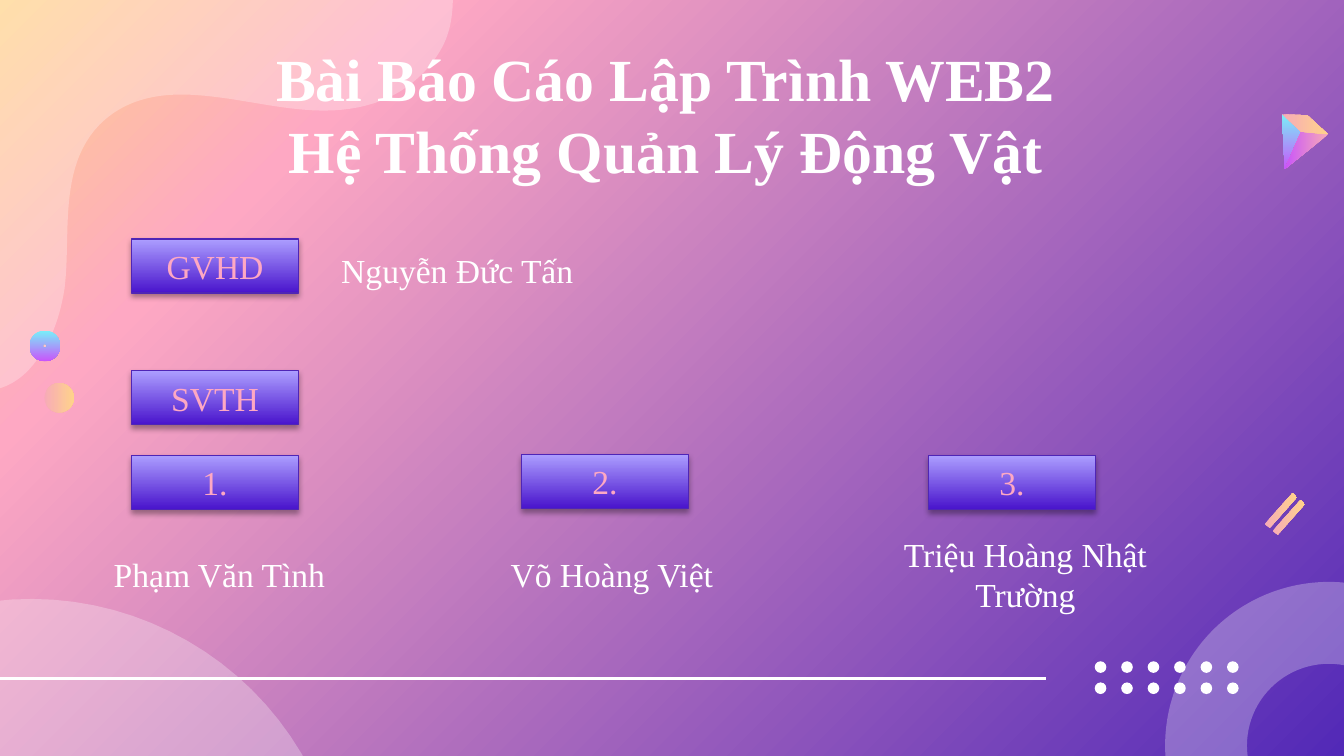
"""Build the title slide of a Vietnamese web programming report."""
from itertools import product

from lxml.etree import SubElement
from pptx import Presentation
from pptx.dml.color import RGBColor
from pptx.enum.shapes import MSO_CONNECTOR, MSO_SHAPE
from pptx.enum.text import MSO_ANCHOR, MSO_AUTO_SIZE, PP_ALIGN
from pptx.oxml.ns import qn
from pptx.util import Cm, Pt

WHITE, PINK = "FFFFFF", "FEA8C3"
PEACH = [(0, "F7ABB7"), (100, "FFD38B")]
NEON = [(0, "78F0F9"), (100, "C954FA")]
ORCHID = [(0, "F7ABB7"), (100, "C954FA")]
INDIGO = [(0, "4914CC"), (100, "AC9EFF")]
SUNSET = [(0, "5229B7"), (79, PINK), (100, "FFD38B")]

BLOB = [(0, 7.34), (0.25, 7.26, 0.46, 7.11, 0.64, 6.88),
        (0.97, 6.48, 1.14, 5.97, 1.22, 5.46),
        (1.35, 4.45, 1.09, 3.18, 1.88, 2.36),
        (2.39, 1.85, 3.05, 1.75, 3.73, 1.8),
        (4.9, 1.88, 6.05, 2.34, 7.19, 1.91),
        (7.67, 1.73, 8.1, 1.37, 8.36, 0.89),
        (8.51, 0.61, 8.56, 0.28, 8.56, -0.05), (0, -0.05)]
HILL = [(0.46, 17.5), (6.38, 15.93), (6.32, 15.72),
        (5.46, 12.55, 2.21, 10.67, -0.97, 11.53),
        (-1.02, 11.53, -1.07, 11.56, -1.14, 11.56)]
STRIPE = [(23.9, 9.91), (24.43, 9.32), (24.51, 9.4), (24, 9.98)]


def rgb(color):
    return RGBColor.from_string(color)


def curve(start, ctrl, steps=24):
    """Return points along a cubic Bezier curve."""
    x1, y1, x2, y2, x3, y3 = ctrl
    points = []
    for i in range(1, steps + 1):
        t = i / steps
        u = 1 - t
        weights = (u ** 3, 3 * u * u * t, 3 * u * t * t, t ** 3)
        points.append(tuple(sum(w * v for w, v in zip(weights, values))
                            for values in ((start[0], x1, x2, x3),
                                           (start[1], y1, y2, y3))))
    return points


class Deck:
    """Hold the style and the current slide."""

    font = "Times New Roman"
    size = 18

    def __init__(self, prs):
        self.s = prs.slides.add_slide(prs.slide_layouts[5])
        self.gradient(self.s.background.fill, self.s, SUNSET, 225)

    def gradient(self, fill, owner, stops, angle):
        fill.gradient()
        grad = owner.element.find(".//" + qn("a:gradFill"))
        gs_list = grad.find(qn("a:gsLst"))
        for gs in list(gs_list):
            gs_list.remove(gs)
        for pos, color in stops:
            gs = SubElement(gs_list, qn("a:gs"), pos=str(pos * 1000))
            SubElement(gs, qn("a:srgbClr"), val=color)
        grad.find(qn("a:lin")).set("ang", str(angle * 60000))

    def paint(self, sp, fill, angle=0, alpha=100):
        sp.shadow.inherit = False
        sp.line.fill.background()
        if isinstance(fill, list):
            self.gradient(sp.fill, sp, fill, angle)
            return
        sp.fill.solid()
        sp.fill.fore_color.rgb = rgb(fill)
        if alpha < 100:
            clr = sp.element.spPr.find(".//" + qn("a:srgbClr"))
            SubElement(clr, qn("a:alpha"), val=str(alpha * 1000))

    def outline(self, path_points, fill, angle=0, alpha=100):
        points = []
        for seg in path_points:
            points += [seg] if len(seg) == 2 else curve(points[-1], seg)
        points = [(Cm(x), Cm(y)) for x, y in points]
        fb = self.s.shapes.build_freeform(*points[0])
        fb.add_line_segments(points[1:], close=True)
        self.paint(fb.convert_to_shape(), fill, angle, alpha)

    def round(self, kind, x, y, d, fill, angle=0, alpha=100, band=None):
        sp = self.s.shapes.add_shape(kind, Cm(x), Cm(y), Cm(d), Cm(d))
        if band:
            sp.adjustments[0] = band
        self.paint(sp, fill, angle, alpha)

    def run(self, p, text, color=WHITE, size=None, bold=False):
        r = p.add_run()
        r.text = text
        r.font.name = self.font
        r.font.size = Pt(size or self.size)
        r.font.bold = bold
        r.font.color.rgb = rgb(color)

    def title(self, lines, x, y, w, h):
        sp = self.s.shapes.title
        sp.element.getparent().append(sp.element)
        sp.left, sp.top, sp.width, sp.height = Cm(x), Cm(y), Cm(w), Cm(h)
        tf = sp.text_frame
        tf.auto_size = MSO_AUTO_SIZE.NONE
        tf.vertical_anchor = MSO_ANCHOR.MIDDLE
        tf.margin_left = tf.margin_right = Cm(0.25)
        tf.margin_top = tf.margin_bottom = Cm(0.25)
        p = tf.paragraphs[0]
        p.alignment = PP_ALIGN.CENTER
        for i, line in enumerate(lines):
            if i:
                p.add_line_break()
            self.run(p, line, size=32, bold=True)

    def text(self, text, x, y, h=1.02, align=PP_ALIGN.LEFT):
        tf = self.s.shapes.add_textbox(Cm(x), Cm(y), Cm(6.4), Cm(h)).text_frame
        tf.word_wrap = True
        p = tf.paragraphs[0]
        p.alignment = align
        self.run(p, text)

    def badge(self, text, x, y):
        sp = self.s.shapes.add_shape(MSO_SHAPE.RECTANGLE, Cm(x), Cm(y),
                                     Cm(3.15), Cm(1.02))
        self.paint(sp, INDIGO, 270)
        sp.line.color.rgb = rgb("4F25B6")
        sp.line.width = Pt(0.75)
        effects = sp.element.spPr.find(qn("a:effectLst"))
        shadow = SubElement(effects, qn("a:outerShdw"), blurRad=str(int(Pt(3.1))),
                            dist=str(int(Pt(1.8))), dir="5400000", rotWithShape="0")
        clr = SubElement(shadow, qn("a:srgbClr"), val="000000")
        SubElement(clr, qn("a:alpha"), val="35000")
        p = sp.text_frame.paragraphs[0]
        p.alignment = PP_ALIGN.CENTER
        self.run(p, text, PINK)

    def line(self, x1, y1, x2, y2):
        c = self.s.shapes.add_connector(MSO_CONNECTOR.STRAIGHT, Cm(x1), Cm(y1),
                                        Cm(x2), Cm(y2))
        c.line.color.rgb = rgb(WHITE)
        c.line.width = Pt(1.5)
        SubElement(c.element.spPr, qn("a:effectLst"))


def main():
    prs = Presentation()
    prs.slide_width, prs.slide_height = Cm(25.4), Cm(14.29)
    deck = Deck(prs)

    deck.round(MSO_SHAPE.DONUT, 22.02, 11, 6.19, WHITE, alpha=28, band=0.25)
    for shape in (BLOB, HILL):
        deck.outline(shape, WHITE, alpha=28)
    deck.title(["Bài Báo Cáo Lập Trình WEB2", "Hệ Thống Quản Lý Động Vật"],
               1.88, 1.47, 21.41, 1.35)
    deck.line(-0.03, 12.82, 19.76, 12.82)
    for row, col in product(range(2), range(6)):
        deck.round(MSO_SHAPE.OVAL, 20.69 + 0.5 * col, 12.5 + 0.4 * row, 0.22, WHITE)

    deck.round(MSO_SHAPE.OVAL, 0.84, 7.24, 0.56, PEACH)
    tip, hub, base, right = (24.23, 2.16), (24.59, 2.49), (24.28, 3.2), (25.1, 2.54)
    deck.outline([tip, hub, base], NEON, 90)
    deck.outline([base, hub, right], ORCHID, 180)
    deck.outline([right, hub, tip, (24.71, 2.18)], PEACH)
    for i in range(2):
        deck.outline([(x + 0.15 * i, y + 0.13 * i) for x, y in STRIPE], PEACH)
    deck.round(MSO_SHAPE.DONUT, 0.56, 6.25, 0.58, NEON, 90, band=0.43)

    for label, x, y in [("GVHD", 2.49, 4.52), ("SVTH", 2.49, 7.01),
                        ("1.", 2.49, 8.61), ("2.", 9.86, 8.59),
                        ("3.", 17.55, 8.61)]:
        deck.badge(label, x, y)
    for name, x, y in [("Nguyễn Đức Tấn", 6.2, 4.6), ("Phạm Văn Tình", 1.9, 10.34),
                       ("Võ Hoàng Việt", 9.4, 10.34)]:
        deck.text(name, x, y)
    deck.text("Triệu Hoàng Nhật Trường", 16.18, 9.96, 1.8, PP_ALIGN.CENTER)

    prs.save("out.pptx")


if __name__ == "__main__":
    main()
